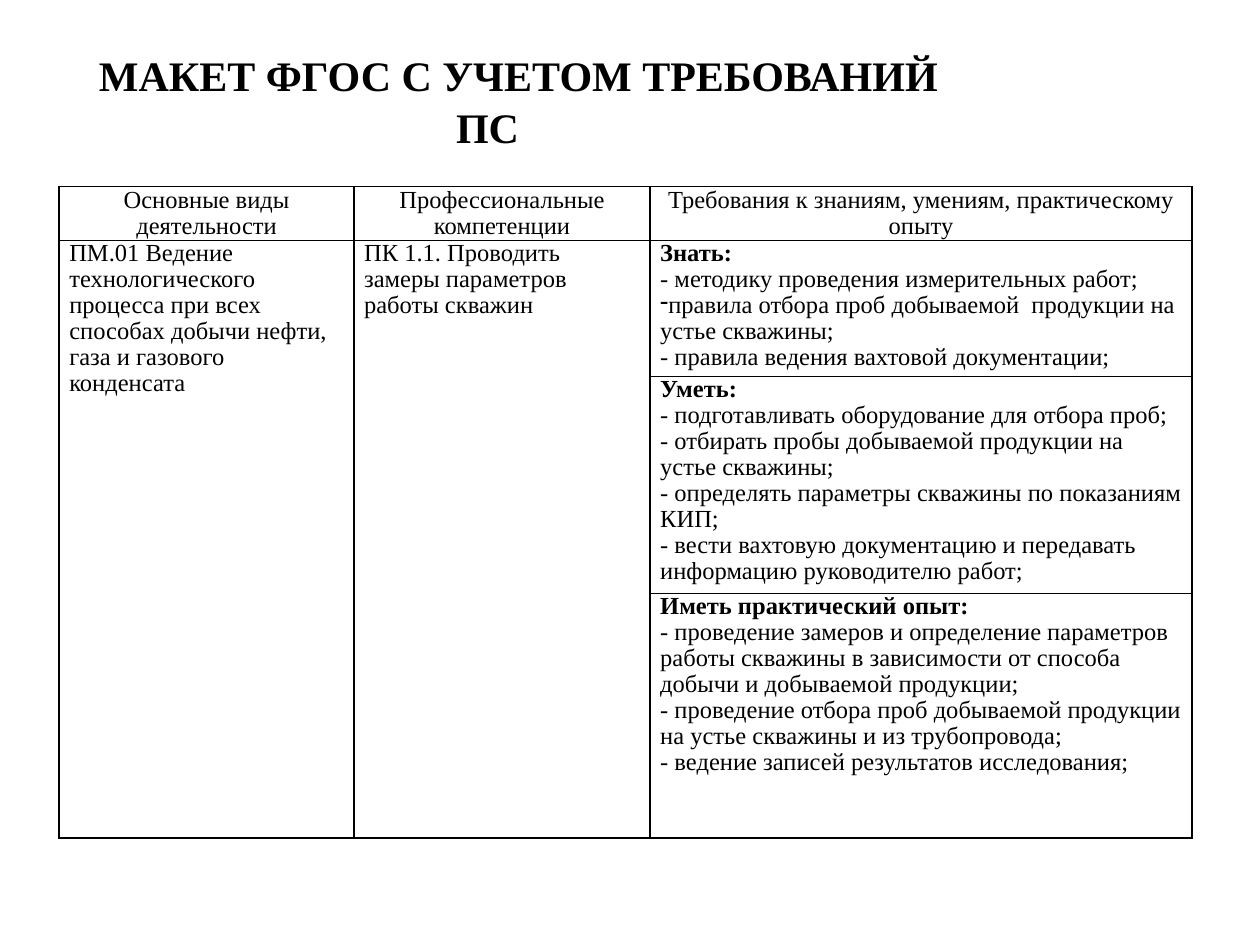
from lxml.etree import SubElement
from pptx import Presentation
from pptx.dml.color import RGBColor
from pptx.enum.text import MSO_ANCHOR, MSO_AUTO_SIZE, PP_ALIGN
from pptx.oxml import parse_xml
from pptx.oxml.ns import nsdecls, qn
from pptx.util import Inches, Pt

FONT = "Times New Roman"
BLACK = "000000"
WHITE = "FFFFFF"
TITLE = "МАКЕТ ФГОС С УЧЕТОМ ТРЕБОВАНИЙ ПС"
HEADERS = [
    "Основные виды деятельности",
    "Профессиональные компетенции",
    "Требования к знаниям, умениям, практическому опыту",
]
ACTIVITY = ("ПМ.01 Ведение технологического процесса при всех способах "
            "добычи нефти, газа и газового конденсата")
COMPETENCE = "ПК\u00a01.1.\u00a0Проводить замеры параметров работы скважин"
BULLETED = "правила отбора проб добываемой  продукции на устье скважины;"
REQUIREMENTS = [
    ["Знать:",
     "- методику проведения измерительных работ;",
     BULLETED,
     "- правила ведения вахтовой документации;"],
    ["Уметь:",
     "- подготавливать оборудование для отбора проб;",
     "- отбирать пробы добываемой продукции на устье скважины;",
     "- определять параметры скважины по показаниям КИП;",
     "- вести вахтовую документацию и передавать информацию руководителю работ;"],
    ["Иметь практический опыт:",
     "- проведение замеров и определение параметров работы скважины "
     "в зависимости от способа добычи и добываемой продукции;",
     "- проведение отбора проб добываемой продукции на устье скважины "
     "и из трубопровода;",
     "- ведение записей результатов исследования;"],
]
COLUMN_WIDTHS = [2.34, 2.35, 4.3]
ROW_HEIGHTS = [0.43, 1.08, 1.72, 1.94]


def color(value):
    return RGBColor.from_string(value)


def format_paragraph(paragraph, size, bold, alignment, spacing):
    paragraph.alignment = alignment
    paragraph.line_spacing = spacing
    paragraph.space_before = paragraph.space_after = Pt(0)
    for run in paragraph.runs:
        run.font.name = FONT
        run.font.size = Pt(size)
        run.font.bold = bold
        run.font.color.rgb = color(BLACK)


def add_title(slide, left, top, width, height):
    title = slide.shapes.title
    title.left, title.top = Inches(left), Inches(top)
    title.width, title.height = Inches(width), Inches(height)
    frame = title.text_frame
    frame.text = TITLE
    frame.word_wrap = True
    frame.auto_size = MSO_AUTO_SIZE.NONE
    frame.vertical_anchor = MSO_ANCHOR.MIDDLE
    frame.margin_bottom = Inches(0.3)
    paragraph = frame.paragraphs[0]
    format_paragraph(paragraph, 24, True, PP_ALIGN.CENTER, 1.04)
    paragraph._p.get_or_add_pPr().set("indent", str(Inches(0.49)))


def style_cell(cell):
    """Give the cell a white fill, tight margins and a thin black frame."""
    cell.margin_left = cell.margin_right = Inches(0.08)
    cell.margin_top = cell.margin_bottom = 0
    cell.fill.solid()
    cell.fill.fore_color.rgb = color(WHITE)
    properties = cell._tc.get_or_add_tcPr()
    for index, side in enumerate(["lnL", "lnR", "lnT", "lnB"]):
        properties.insert(index, parse_xml(
            f'<a:{side} {nsdecls("a")} w="{Pt(1)}"><a:solidFill>'
            f'<a:srgbClr val="{BLACK}"/></a:solidFill></a:{side}>'))


def fill_cell(cell, lines, anchor, alignment=PP_ALIGN.LEFT, headed=False):
    """Write one paragraph per line; a headed cell has its first line bold."""
    cell.vertical_anchor = anchor
    cell.text_frame.text = "\n".join(lines)
    for index, paragraph in enumerate(cell.text_frame.paragraphs):
        format_paragraph(paragraph, 14, headed and index == 0, alignment, 0.96)
        if paragraph.text == BULLETED:
            bullet = SubElement(paragraph._p.get_or_add_pPr(), qn("a:buChar"))
            bullet.set("char", "-")


def add_requirements_table(slide, left, top):
    shape = slide.shapes.add_table(
        len(ROW_HEIGHTS), len(COLUMN_WIDTHS), Inches(left), Inches(top),
        Inches(sum(COLUMN_WIDTHS)), Inches(sum(ROW_HEIGHTS)))
    table = shape.table
    table.first_row = table.horz_banding = False
    for column, width in zip(table.columns, COLUMN_WIDTHS):
        column.width = Inches(width)
    for row, height in zip(table.rows, ROW_HEIGHTS):
        row.height = Inches(height)
    for cell in table.iter_cells():
        style_cell(cell)

    for column, header in enumerate(HEADERS):
        fill_cell(table.cell(0, column), [header], MSO_ANCHOR.MIDDLE,
                  PP_ALIGN.CENTER)
    for column, text in enumerate([ACTIVITY, COMPETENCE]):
        merged = table.cell(1, column)
        merged.merge(table.cell(len(REQUIREMENTS), column))
        fill_cell(merged, [text], MSO_ANCHOR.TOP)
    for row, lines in enumerate(REQUIREMENTS, start=1):
        fill_cell(table.cell(row, 2), lines, MSO_ANCHOR.TOP, headed=True)


def main():
    presentation = Presentation()
    presentation.slide_width = Inches(10)
    presentation.slide_height = Inches(7.5)
    slide = presentation.slides.add_slide(presentation.slide_layouts[5])
    add_requirements_table(slide, 0.47, 1.48)
    add_title(slide, 0.16, 0.31, 7.42, 1.21)
    presentation.save("out.pptx")


if __name__ == "__main__":
    main()
